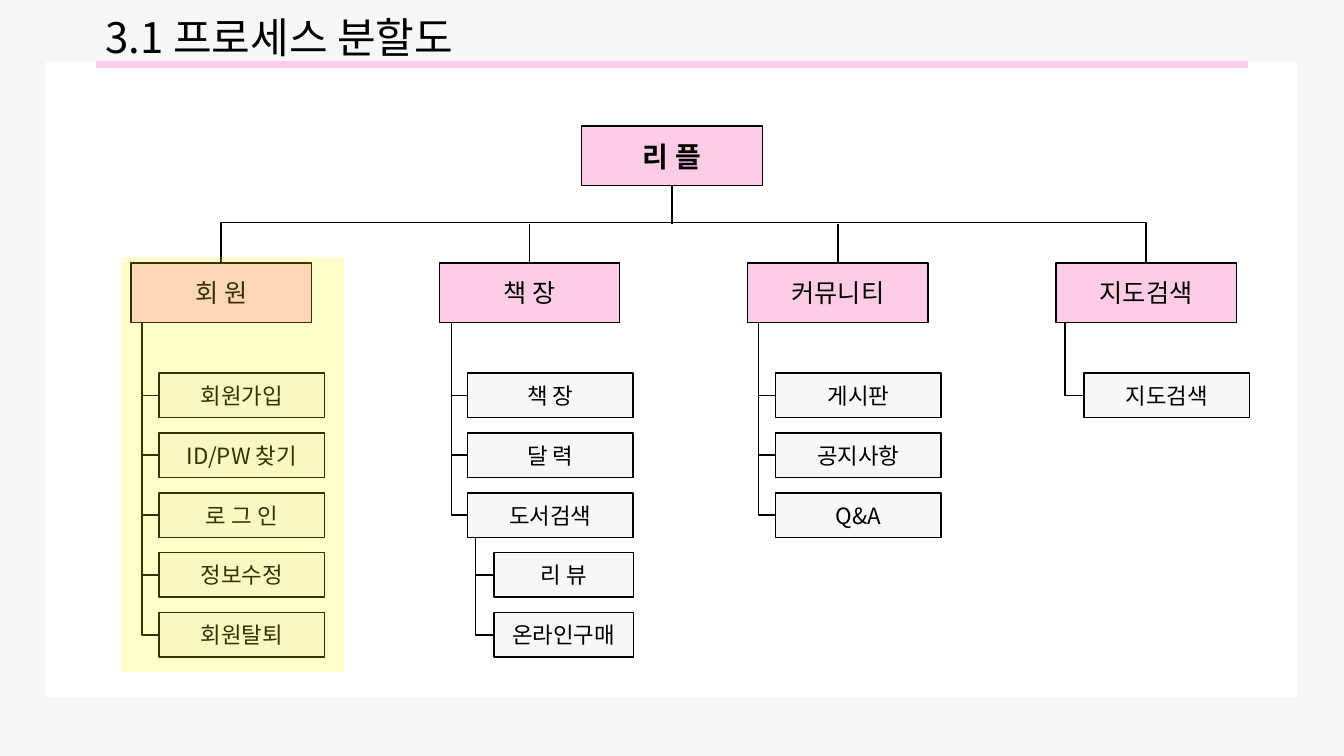
import pptx
import pptx.dml.color
import pptx.enum.shapes
import pptx.enum.text
import pptx.oxml.ns
import pptx.util
from lxml import etree
from pptx.util import Cm

FONT = "Noto Sans CJK KR"
BLACK, WHITE, PINK, GRAY, YELLOW = "000000", "FFFFFF", "FFCCE5", "F7F7F7", "FFFF00"

HEAD_WIDTH, HEAD_HEIGHT, HEAD_TOP = 4.55, 1.5, 6.63
ROOT_LEFT, ROOT_TOP = 14.66, 3.18
COLUMN_LEFT, COLUMN_STEP = 3.3, 7.77
BUS_Y = 5.64
ITEM_INDENT, ITEM_WIDTH, ITEM_HEIGHT = 0.71, 4.17, 1.12
ITEM_TOP, ITEM_STEP = 9.4, 1.51
SUB_INDENT, SUB_WIDTH = 1.38, 3.51

# Heading, distance from heading edge to trunk, items, sub-items of the last item
COLUMNS = [
    ("회 원", 0.28, ["회원가입", "ID/PW 찾기", "로 그 인", "정보수정", "회원탈퇴"], []),
    ("책 장", 0.31, ["책 장", "달 력", "도서검색"], ["리 뷰", "온라인구매"]),
    ("커뮤니티", 0.28, ["게시판", "공지사항", "Q&A"], []),
    ("지도검색", 0.23, ["지도검색"], []),
]


def color(hex_string):
    return pptx.dml.color.RGBColor.from_string(hex_string)


def style_text(frame, text, size, bold=False):
    frame.text = text
    frame.vertical_anchor = pptx.enum.text.MSO_ANCHOR.MIDDLE
    para = frame.paragraphs[0]
    for span in para.runs:
        span.font.size = pptx.util.Pt(size)
        span.font.bold = bold
        span.font.name = FONT
        span.font.color.rgb = color(BLACK)
        east_asian = etree.SubElement(span.font._element, pptx.oxml.ns.qn("a:ea"))
        east_asian.set("typeface", FONT)
    return para


def add_rectangle(page, left, top, width, height, fill):
    box = page.shapes.add_shape(pptx.enum.shapes.MSO_SHAPE.RECTANGLE,
                                Cm(left), Cm(top), Cm(width), Cm(height))
    box.shadow.inherit = False
    box.fill.solid()
    box.fill.fore_color.rgb = color(fill)
    box.line.fill.background()
    return box


def add_label_box(page, left, top, width, height, fill, text, size, bold=False):
    box = add_rectangle(page, left, top, width, height, fill)
    box.line.color.rgb = color(BLACK)
    box.line.width = pptx.util.Pt(1)
    para = style_text(box.text_frame, text, size, bold)
    para.alignment = pptx.enum.text.PP_ALIGN.CENTER


def add_line(page, x1, y1, x2, y2, line_color=BLACK, width=1, elbow=False):
    kinds = pptx.enum.shapes.MSO_CONNECTOR
    line = page.shapes.add_connector(kinds.ELBOW if elbow else kinds.STRAIGHT,
                                     Cm(x1), Cm(y1), Cm(x2), Cm(y2))
    line.line.color.rgb = color(line_color)
    line.line.width = pptx.util.Pt(width)
    etree.SubElement(line._element.spPr, pptx.oxml.ns.qn("a:effectLst"))
    return line


def add_turned_elbow(page, center_x, center_y, length, breadth, flip_breadth, degrees):
    """Elbow of length x breadth, mirrored along its length, then turned about its centre."""
    half_breadth = -breadth / 2 if flip_breadth else breadth / 2
    line = add_line(page, center_x + length / 2, center_y - half_breadth,
                    center_x - length / 2, center_y + half_breadth, elbow=True)
    line._element.spPr.find(pptx.oxml.ns.qn("a:xfrm")).set("rot", str(degrees * 60000))
    return line._element.spPr.find(pptx.oxml.ns.qn("a:prstGeom"))


def add_trunk(page, x, top, right, bottom):
    """Line down from a box, then right to the last item."""
    geometry = add_turned_elbow(page, (x + right) / 2, (top + bottom) / 2,
                                bottom - top, right - x, False, 270)
    geometry.set("prst", "bentConnector2")


def add_bus(page, left, right):
    """Bracket joining the first and last headings above the columns."""
    rise, slope = 1.02, 0.03
    geometry = add_turned_elbow(page, (left + right) / 2, HEAD_TOP - slope / 2,
                                slope, right - left, True, 90)
    guides = geometry.find(pptx.oxml.ns.qn("a:avLst"))
    if guides is None:
        guides = etree.SubElement(geometry, pptx.oxml.ns.qn("a:avLst"))
    guide = etree.SubElement(guides, pptx.oxml.ns.qn("a:gd"))
    guide.set("name", "adj1")
    guide.set("fmla", f"val {round(rise / slope * 100000)}")


def add_branch(page, trunk_x, trunk_top, left, first_top, width, labels):
    """Stack of item boxes hanging from one trunk."""
    for index, label in enumerate(labels):
        top = first_top + index * ITEM_STEP
        middle = top + ITEM_HEIGHT / 2
        add_label_box(page, left, top, width, ITEM_HEIGHT, GRAY, label, 16)
        if index < len(labels) - 1:
            add_line(page, left, middle, trunk_x, middle)
    add_trunk(page, trunk_x, trunk_top, left, middle)


def add_column(page, left, heading, trunk_offset, items, sub_items):
    add_label_box(page, left, HEAD_TOP, HEAD_WIDTH, HEAD_HEIGHT, PINK, heading, 18)
    item_left = left + ITEM_INDENT
    add_branch(page, left + trunk_offset, HEAD_TOP + HEAD_HEIGHT,
               item_left, ITEM_TOP, ITEM_WIDTH, items)
    if sub_items:
        sub_top = ITEM_TOP + len(items) * ITEM_STEP
        add_branch(page, item_left + 0.21, sub_top - ITEM_STEP + ITEM_HEIGHT,
                   left + SUB_INDENT, sub_top, SUB_WIDTH, sub_items)


def add_title(page, text):
    box = page.shapes.add_textbox(Cm(2.41), Cm(0.42), Cm(14.05), Cm(1.17))
    box.text_frame.word_wrap = True
    para = style_text(box.text_frame, text, 30)
    para.line_spacing = 0.9


def add_highlight(page):
    box = add_rectangle(page, 3.06, 6.48, 5.61, 10.46, YELLOW)
    fill_color = box._element.spPr.find(".//" + pptx.oxml.ns.qn("a:srgbClr"))
    etree.SubElement(fill_color, pptx.oxml.ns.qn("a:alpha")).set("val", "20000")


def main():
    deck = pptx.Presentation()
    deck.slide_width, deck.slide_height = Cm(33.87), Cm(19.05)
    page = deck.slides.add_slide(deck.slide_layouts[6])
    page.background.fill.solid()
    page.background.fill.fore_color.rgb = color(GRAY)

    add_rectangle(page, 1.17, 1.55, 31.52, 16.03, WHITE)
    add_line(page, 2.41, 1.63, 31.45, 1.63, PINK, 5)
    add_title(page, "3.1 프로세스 분할도")

    add_label_box(page, ROOT_LEFT, ROOT_TOP, HEAD_WIDTH, HEAD_HEIGHT, PINK, "리 플", 20, True)
    root_center = ROOT_LEFT + HEAD_WIDTH / 2
    add_line(page, root_center, ROOT_TOP + HEAD_HEIGHT, root_center, BUS_Y)

    lefts = [COLUMN_LEFT + index * COLUMN_STEP for index in range(len(COLUMNS))]
    centers = [left + HEAD_WIDTH / 2 for left in lefts]
    for left, column in zip(lefts, COLUMNS):
        add_column(page, left, *column)
    add_bus(page, centers[0], centers[-1])
    for center in centers[1:-1]:
        add_line(page, center, HEAD_TOP, center, BUS_Y)

    add_highlight(page)
    deck.save("out.pptx")


if __name__ == "__main__":
    main()
